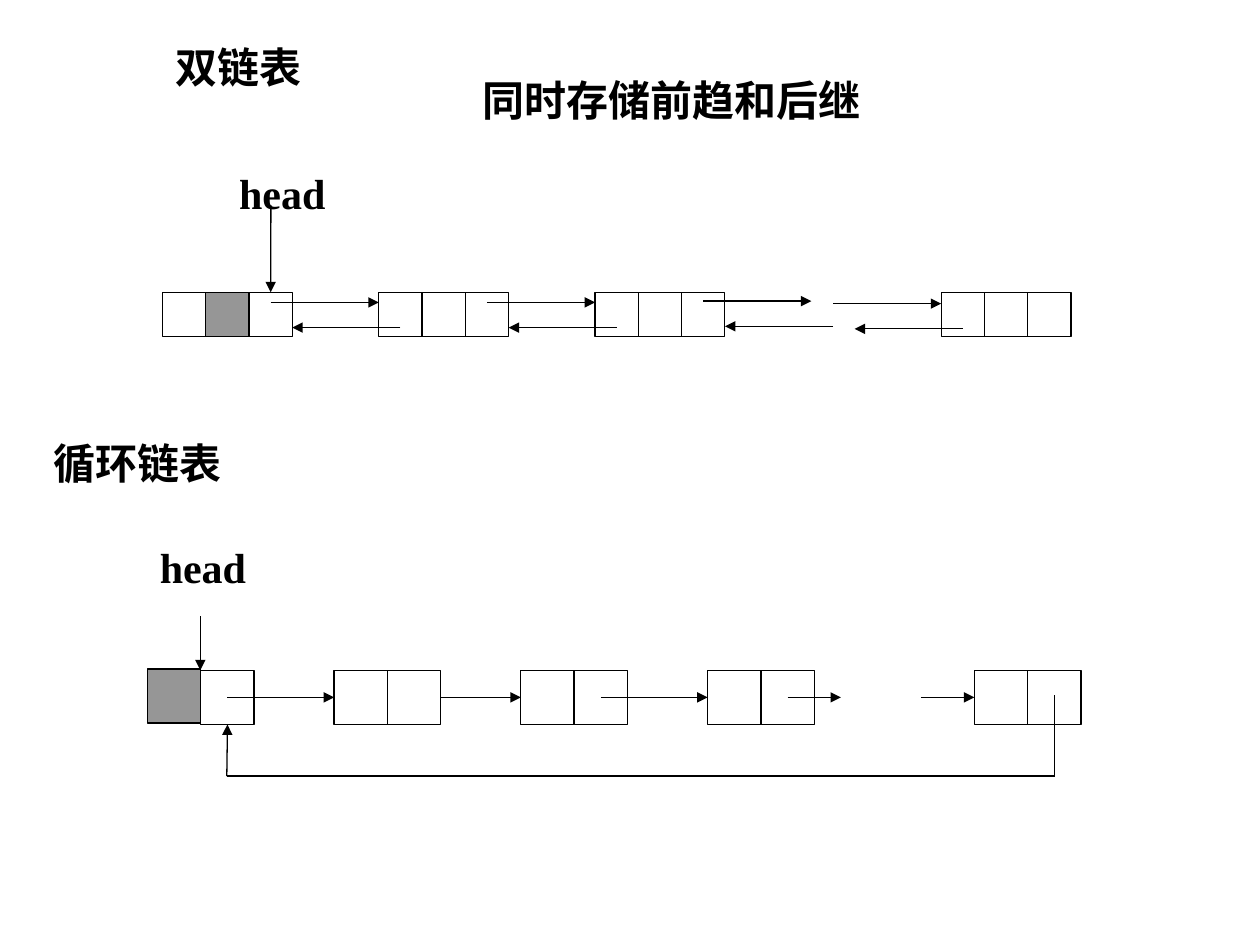
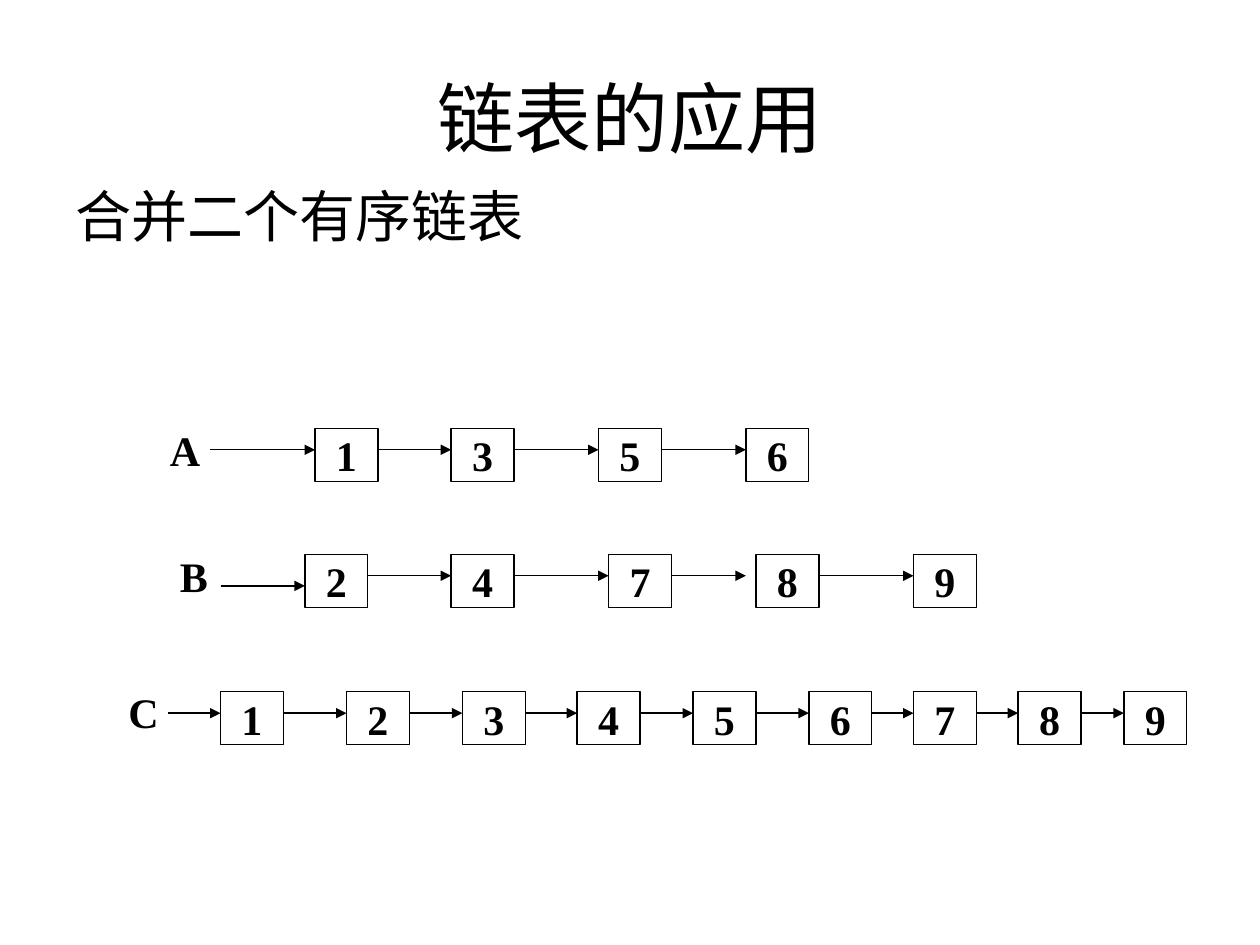
from dataclasses import dataclass

from lxml.etree import SubElement
from pptx import Presentation
from pptx.dml.color import RGBColor
from pptx.enum.shapes import MSO_CONNECTOR as Link, MSO_SHAPE as Shape
from pptx.enum.text import MSO_ANCHOR as Anchor, MSO_AUTO_SIZE as Fit, PP_ALIGN as Align
from pptx.oxml.ns import qn
from pptx.util import Inches, Pt


@dataclass(frozen=True)
class Theme:
    ink: RGBColor = RGBColor(0x00, 0x00, 0x00)
    header_node: RGBColor = RGBColor(0x96, 0x96, 0x96)
    paper: RGBColor = RGBColor(0xFF, 0xFF, 0xFF)
    stroke: Pt = Pt(0.75)
    title: Pt = Pt(44)
    body: Pt = Pt(32)
    label: Pt = Pt(24)
    serif: str = "Times New Roman"
    sans: str = "Arial"
    heading: str = "Calibri"


theme = Theme()


def add_cell(slide, left, top, width, height, fill=None):
    cell = slide.shapes.add_shape(
        Shape.RECTANGLE, Inches(left), Inches(top), Inches(width), Inches(height))
    cell.shadow.inherit = False
    if fill is None:
        cell.fill.background()
    else:
        cell.fill.solid()
        cell.fill.fore_color.rgb = fill
    cell.line.color.rgb = theme.ink
    cell.line.width = theme.stroke
    return cell


def add_link(slide, start, end, source=None, target=None, arrow=True):
    link = slide.shapes.add_connector(Link.STRAIGHT, *map(Inches, (*start, *end)))
    link.line.color.rgb = theme.ink
    link.line.width = theme.stroke
    if arrow:
        SubElement(link.line._get_or_add_ln(), qn("a:tailEnd"), type="triangle")
    SubElement(link._element.spPr, qn("a:effectLst"))
    if source:
        link.begin_connect(*source)
    if target:
        link.end_connect(*target)


deck = Presentation()
deck.slide_width, deck.slide_height = Inches(10), Inches(7.5)
deck.slide_master.background.fill.solid()
deck.slide_master.background.fill.fore_color.rgb = theme.paper
variants = deck.slides.add_slide(deck.slide_layouts[5])
merging = deck.slides.add_slide(deck.slide_layouts[1])

TOP, LEFT, BOTTOM, RIGHT = range(4)
label_font = {"size": theme.label, "name": theme.serif, "bold": True}
sans_font = {**label_font, "name": theme.sans}
title_font = {"size": theme.title, "name": theme.heading, "bold": False}
body_font = {**title_font, "size": theme.body}
left_top = {"alignment": Align.LEFT}, {"vertical_anchor": Anchor.TOP, "word_wrap": True}
center_top = {"alignment": Align.CENTER}, left_top[1]
center_middle = center_top[0], {"vertical_anchor": Anchor.MIDDLE, "word_wrap": True}
node_layout = center_top[0], {"vertical_anchor": Anchor.MIDDLE, "word_wrap": False}

captions = []
for slot, frame, words, font, layout in (
    (variants.shapes.title, (1.29, 0.28, 1.92, 0.5), "双链表", label_font, left_top),
    (merging.shapes.title, (0.5, 0.3, 9, 1.25), "链表的应用", title_font, center_middle),
    (merging.placeholders[1], (0.5, 1.39, 9, 0.98), "合并二个有序链表", body_font, left_top),
):
    slot.left, slot.top, slot.width, slot.height = map(Inches, frame)
    captions.append((slot, words, font, layout))

for frame, words, font, layout in (
    ((3.35, 0.54, 3.96, 0.5), "同时存储前趋和后继", sans_font, center_top),
    ((1.8, 1.28, 1.03, 0.52), "head", label_font, left_top),
    ((0.33, 3.42, 2.25, 0.5), "循环链表", label_font, left_top),
    ((1.17, 4.25, 1.06, 0.64), "head", label_font, left_top),
):
    captions.append((variants.shapes.add_textbox(*map(Inches, frame)), words, font, layout))

double_left, double_top, double_cell = 1.29, 2.32, (8.5 - 1.29) / 21
double_cells = {}
for first in (0, 5, 10, 18):
    for column in range(first, first + 3):
        double_cells[column] = add_cell(
            variants, double_left + column * double_cell, double_top, double_cell, 0.35,
            theme.header_node if column == 1 else None)

for column, next_y in ((2.5, 2.4), (7.5, 2.4), (12.5, 2.39), (15.5, 2.41)):
    for start, end, y in ((0, 2.5, next_y), (3, 0.5, next_y + 0.2)):
        add_link(variants, (double_left + (column + start) * double_cell, y),
                 (double_left + (column + end) * double_cell, y))
add_link(variants, (2.15, 1.63), (2.15, double_top), target=(double_cells[2], TOP))

ring_left, ring_top, ring_cell, ring_height = 1.17, 5.32, (8.58 - 1.17) / 17.5, 0.43
ring_cells = {}
for first in (0, 3.5, 7, 10.5, 15.5):
    for column in (first, first + 1):
        header = column == 0
        ring_cells[column] = add_cell(
            variants, ring_left + column * ring_cell, ring_top - 0.01 * header,
            ring_cell, ring_height, theme.header_node if header else None)

ring_middle = ring_top + ring_height / 2
for start, end in ((1.5, 3.5), (5.5, 7), (8.5, 10.5), (12, 13), (14.5, 15.5)):
    add_link(variants, (ring_left + start * ring_cell, ring_middle),
             (ring_left + end * ring_cell, ring_middle),
             (ring_cells[start - 1], RIGHT) if start == 5.5 else None,
             (ring_cells[end], LEFT) if end in ring_cells else None)

add_link(variants, (1.59, 4.89), (1.59, ring_top))
add_link(variants, (8.37, 5.52), (8.37, 6.16), arrow=False)
add_link(variants, (8.37, 6.16), (1.8, 6.16), arrow=False)
add_link(variants, (1.8, 6.16), (1.8, 5.75), target=(ring_cells[1], BOTTOM))

node_width, node_height = 0.5, 0.42
for name, label_frame, node_top, tail, nodes, tips in (
    ("A", (1.25, 3.32, 0.5, 0.5), 3.4, 1.67, {1: 2.5, 3: 3.58, 5: 4.75, 6: 5.92}, {}),
    ("B", (1.33, 4.32, 0.5, 0.5), 4.4, 1.75, {2: 2.42, 4: 3.58, 7: 4.83, 8: 6, 9: 7.25},
     {2: (2.42, 4.65), 8: (5.92, 4.57)}),
    ("C", (0.92, 5.4, 0.58, 0.5), 5.49, 1.33,
     {1: 1.75, 2: 2.75, 3: 3.67, 4: 4.58, 5: 5.5, 6: 6.42, 7: 7.25, 8: 8.08, 9: 8.92}, {}),
):
    label = merging.shapes.add_textbox(*map(Inches, label_frame))
    captions.append((label, name, label_font, left_top))
    for value, left in nodes.items():
        node = add_cell(merging, left, node_top, node_width, node_height)
        captions.append((node, str(value), label_font, node_layout))
        tip = tips.get(value, (left, node_top + 0.17))
        add_link(merging, (tail, tip[1]), tip)
        tail = left + node_width

frame_format = {"auto_size": Fit.NONE, "margin_left": Inches(0.1), "margin_right": Inches(0.1),
                "margin_top": Inches(0.05), "margin_bottom": Inches(0.05)}
for holder, words, font, (paragraph_format, anchoring) in captions:
    text = holder.text_frame
    text.text = words
    paragraph = text.paragraphs[0]
    if font is body_font:
        properties = paragraph._p.get_or_add_pPr()
        properties.set("marL", str(Inches(0.38)))
        properties.set("indent", str(Inches(-0.38)))
        SubElement(properties, qn("a:buNone"))
    for part, values in (
        (text, {**frame_format, **anchoring}),
        (paragraph, {**paragraph_format, "space_before": Pt(0)}),
        (paragraph.runs[0].font, font),
    ):
        for attribute, setting in values.items():
            setattr(part, attribute, setting)
    paragraph.runs[0].font.color.rgb = theme.ink

deck.save("out.pptx")
